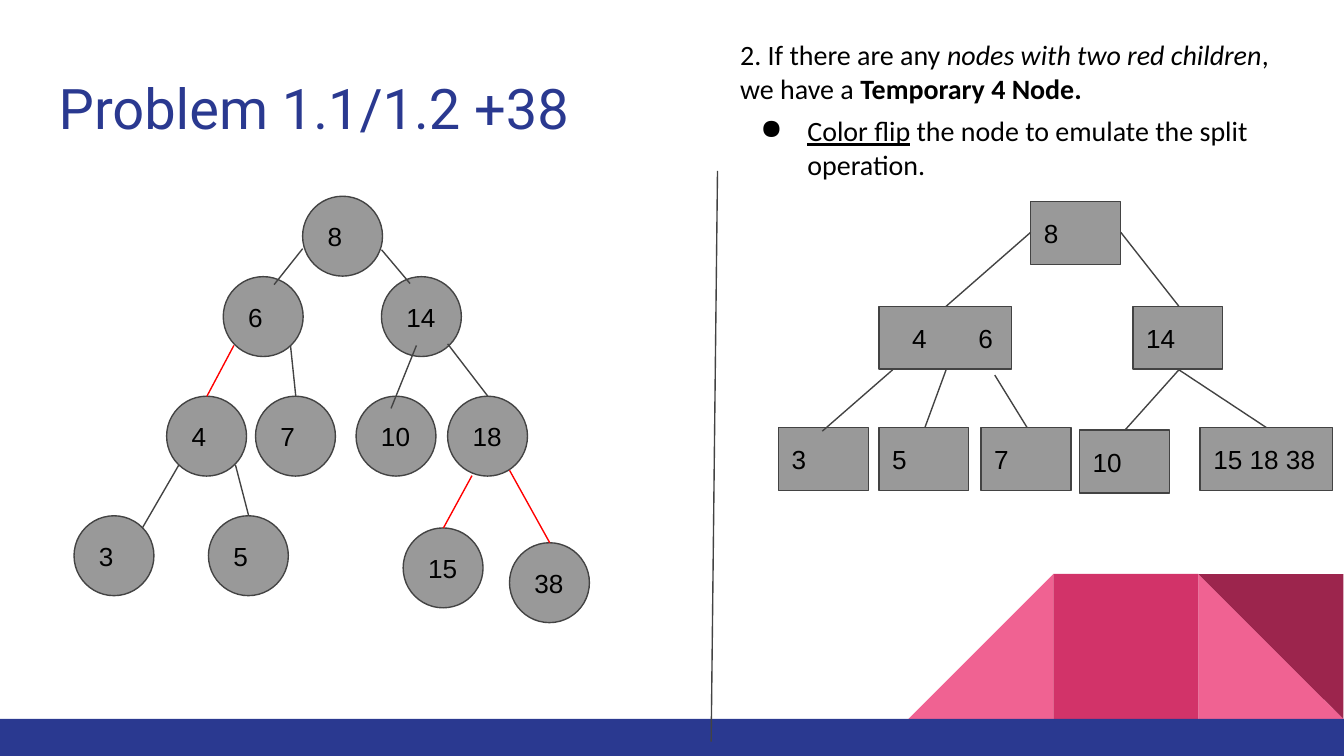
from dataclasses import dataclass

from lxml import etree
from pptx import Presentation
from pptx.dml.color import RGBColor
from pptx.enum import shapes as kinds, text as txt
from pptx.oxml import ns
from pptx.util import Cm, Pt

SHAPE = kinds.MSO_SHAPE


@dataclass(frozen=True)
class Theme:
    navy: str = "2A3990"
    pink: str = "F06292"
    rose: str = "D23369"
    wine: str = "9C254D"
    gray: str = "999999"
    dark: str = "434343"
    red: str = "FF0000"
    black: str = "000000"
    title: float = 30
    body: float = 15
    node: float = 14
    rule: float = 0.75


THEME = Theme()
INSET = Cm(0.25)
FRAME = dict(margin_left=INSET, margin_right=INSET, margin_top=INSET,
             margin_bottom=INSET, word_wrap=True,
             auto_size=txt.MSO_AUTO_SIZE.NONE)
DISC = 1.51
BOX_W, WIDE_W, BOX_H = 1.7, 2.51, 1.19

# Places and edge ends are in centimetres.
DISCS = [
    ("8", 5.72, 3.71), ("6", 4.22, 5.23), ("14", 7.21, 5.23),
    ("4", 3.15, 7.49), ("7", 4.83, 7.49), ("10", 6.73, 7.49),
    ("18", 8.46, 7.49), ("3", 1.4, 9.75), ("5", 3.94, 9.75),
    ("15", 7.62, 9.98), ("38", 9.63, 10.26),
]
BOXES = [
    ("8", 19.48, 3.81, BOX_W), ("4\t6", 16.61, 5.79, WIDE_W),
    ("14", 21.41, 5.79, BOX_W), ("3", 14.71, 8.08, BOX_W),
    ("5", 16.61, 8.08, BOX_W), ("7", 18.54, 8.08, BOX_W),
    ("10", 20.4, 8.13, BOX_W), ("15 18 38", 22.68, 8.08, WIDE_W),
]
BLACK_EDGES = [
    (5.72, 4.7, 5.18, 5.38), (7.21, 4.72, 7.75, 5.36),
    (8.46, 6.5, 9.22, 7.49), (7.87, 6.53, 7.39, 7.72),
    (5.49, 6.53, 5.59, 7.49), (2.69, 9.98, 3.38, 8.79),
    (4.45, 8.79, 4.7, 9.75),
]
RED_EDGES = [
    (3.91, 7.49, 4.42, 6.53), (8.38, 9.98, 8.92, 8.99),
    (9.63, 8.89, 10.39, 10.26),
]
BOX_EDGES = [
    (17.88, 5.79, 19.48, 4.39), (21.18, 4.39, 22.28, 5.79),
    (16.87, 6.99, 15.54, 8.15), (17.88, 6.99, 17.48, 8.08),
    (18.8, 7.09, 19.41, 8.08), (21.26, 8.13, 22.28, 6.99),
    (22.28, 6.99, 23.93, 8.08),
]
DIVIDER = (13.56, 3.23, 13.44, 14.02)


def put(item, **values):
    for name, value in values.items():
        setattr(item, name, value)


def style(font, face, size, color, **values):
    put(font, name=face, size=Pt(size), **values)
    font.color.rgb = RGBColor.from_string(color)


def block(slide, kind, place, fill, line=None):
    """Add a flat preset shape; place is left, top, width, height in cm."""
    shape = slide.shapes.add_shape(kind, *map(Cm, place))
    shape.shadow.inherit = False
    shape.fill.solid()
    shape.fill.fore_color.rgb = RGBColor.from_string(fill)
    if line:
        shape.line.color.rgb = RGBColor.from_string(line)
        shape.line.width = Pt(THEME.rule)
    else:
        shape.line.fill.background()
    return shape


def node(slide, kind, label, place):
    frame = block(slide, kind, place, THEME.gray, THEME.dark).text_frame
    put(frame, vertical_anchor=txt.MSO_ANCHOR.MIDDLE, **FRAME)
    para = frame.paragraphs[0]
    para.alignment = txt.PP_ALIGN.LEFT
    if "\t" in label:
        pair_tab(para)
    run = para.add_run()
    run.text = label
    style(run.font, "Arial", THEME.node, THEME.black)


def pair_tab(para):
    """Indent the first key of a pair and set a tab stop for the second."""
    props = para._p.get_or_add_pPr()
    put_xml(props, marL=Cm(0.38), indent=0)
    tabs = etree.SubElement(props, ns.qn("a:tabLst"))
    put_xml(etree.SubElement(tabs, ns.qn("a:tab")), pos=Cm(1.35), algn="l")


def put_xml(item, **values):
    for name, value in values.items():
        item.set(name, str(value))


def edge(slide, ends, color=THEME.dark):
    line = slide.shapes.add_connector(kinds.MSO_CONNECTOR.STRAIGHT,
                                      *map(Cm, ends))
    line.line.color.rgb = RGBColor.from_string(color)
    line.line.width = Pt(THEME.rule)
    etree.SubElement(line._element.spPr, ns.qn("a:effectLst"))


def decor(slide):
    side, left, top = 2.74, 17.17, 10.85
    for kind, step, turn, fill in [
        (SHAPE.RIGHT_TRIANGLE, 2, 0, THEME.pink),
        (SHAPE.RIGHT_TRIANGLE, 0, 270, THEME.pink),
        (SHAPE.RECTANGLE, 1, 0, THEME.rose),
        (SHAPE.RIGHT_TRIANGLE, 2, 180, THEME.wine),
    ]:
        place = (left + step * side, top, side, side)
        block(slide, kind, place, fill).rotation = turn
    block(slide, SHAPE.RECTANGLE, (0, top + side, 25.4, 0.7), THEME.navy)


def heading(slide, words):
    title = slide.shapes.title
    put(title, left=Cm(0.86), top=Cm(1.14), width=Cm(23.67), height=Cm(1.68))
    frame = title.text_frame
    put(frame, vertical_anchor=txt.MSO_ANCHOR.TOP, **FRAME)
    para = frame.paragraphs[0]
    para.alignment = txt.PP_ALIGN.LEFT
    run = para.add_run()
    run.text = words
    style(run.font, "Roboto", THEME.title, THEME.navy)


def write(para, runs):
    for words, values in runs:
        run = para.add_run()
        run.text = words
        style(run.font, "Calibri", THEME.body, THEME.black, **values)


def rules(slide):
    place = map(Cm, (13.74, 0.46, 11.15, 9.3))
    frame = slide.shapes.add_textbox(*place).text_frame
    put(frame, **FRAME)
    write(frame.paragraphs[0], [
        ("2. If there are any ", {}),
        ("nodes with two red children", {"italic": True}),
        (", we have a ", {}),
        ("Temporary 4 Node.", {"bold": True}),
    ])
    para = frame.add_paragraph()
    para.space_before = Pt(4.8)
    props = para._p.get_or_add_pPr()
    put_xml(props, marL=Cm(1.27), indent=Cm(-0.89))
    put_xml(etree.SubElement(props, ns.qn("a:buChar")), char="●")
    write(para, [
        ("Color flip", {"underline": True}),
        (" the node to emulate the split operation.", {}),
    ])


def main():
    deck = Presentation()
    put(deck, slide_width=Cm(25.4), slide_height=Cm(14.29))
    slide = deck.slides.add_slide(deck.slide_layouts[5])
    decor(slide)
    heading(slide, "Problem 1.1/1.2 +38")
    for label, left, top in DISCS:
        node(slide, SHAPE.OVAL, label, (left, top, DISC, DISC))
    rules(slide)
    for label, left, top, width in BOXES:
        node(slide, SHAPE.RECTANGLE, label, (left, top, width, BOX_H))
    for ends in BLACK_EDGES + BOX_EDGES + [DIVIDER]:
        edge(slide, ends)
    for ends in RED_EDGES:
        edge(slide, ends, THEME.red)
    deck.save("out.pptx")


if __name__ == "__main__":
    main()
